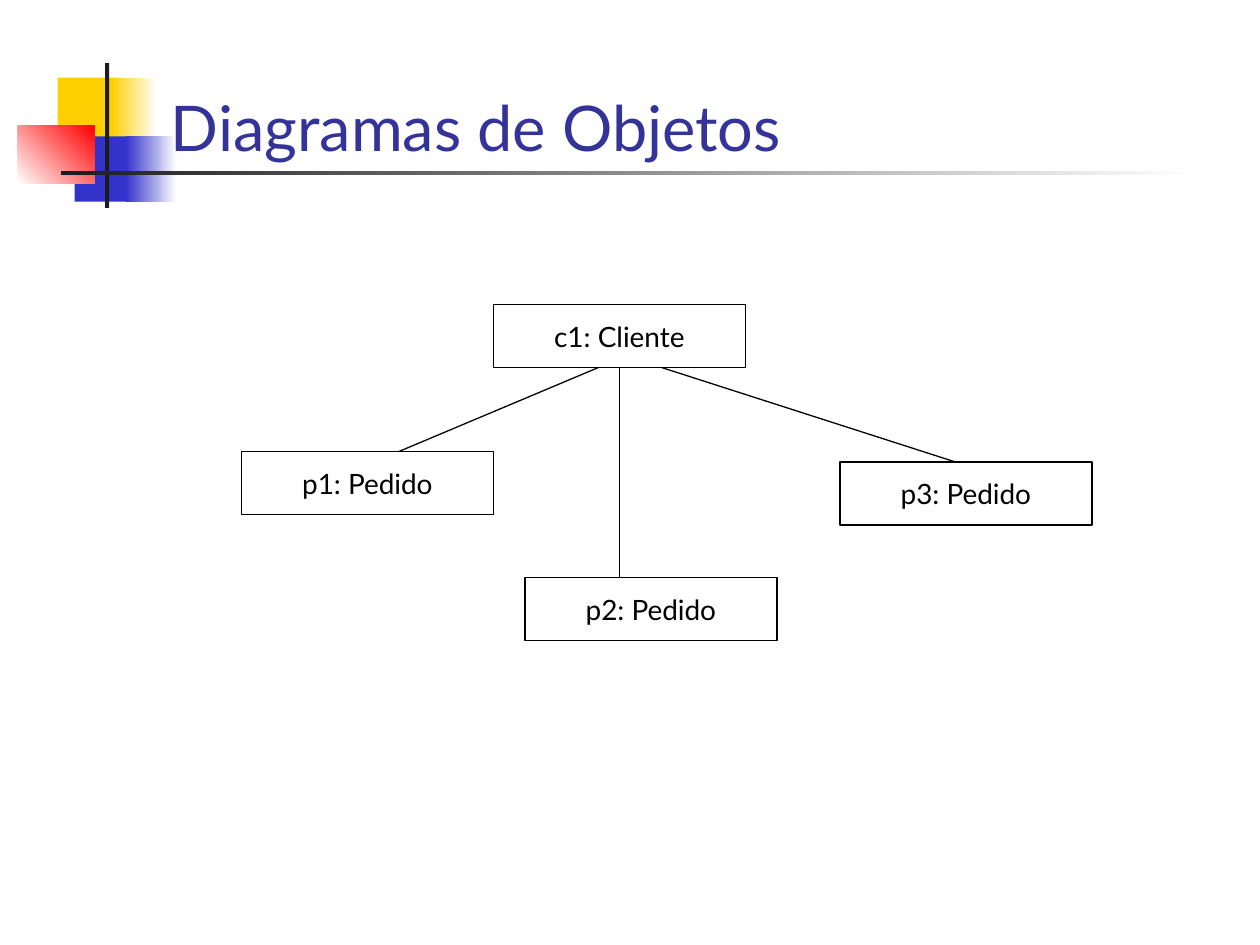
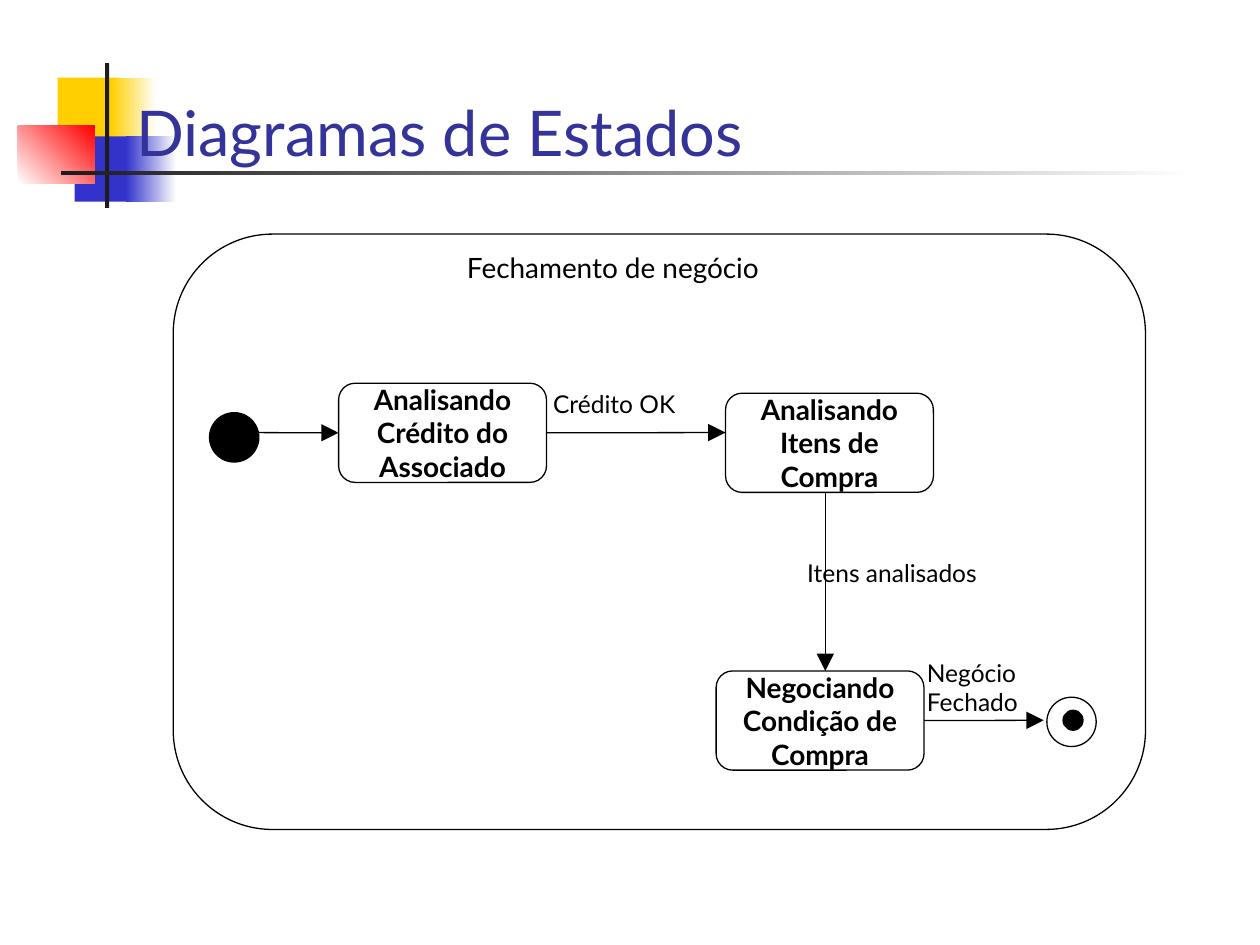
from lxml import etree
from pptx import Presentation
from pptx.dml.color import RGBColor
from pptx.enum.shapes import MSO_CONNECTOR, MSO_SHAPE
from pptx.enum.text import MSO_ANCHOR, PP_ALIGN
from pptx.oxml.ns import qn
from pptx.util import Inches, Pt

RECT, ROUND, OVAL = MSO_SHAPE.RECTANGLE, MSO_SHAPE.ROUNDED_RECTANGLE, MSO_SHAPE.OVAL
STRAIGHT = MSO_CONNECTOR.STRAIGHT
TOP, MIDDLE, BOTTOM = MSO_ANCHOR.TOP, MSO_ANCHOR.MIDDLE, MSO_ANCHOR.BOTTOM
LEFT, CENTER = PP_ALIGN.LEFT, PP_ALIGN.CENTER
SITE_LEFT, SITE_BOTTOM, SITE_RIGHT = 1, 2, 3

COLS, ROWS = 120, 90
FONT = "Lato"
INK, BAR, WHITE = "000000", "1C1C1C", "FFFFFF"
YELLOW, BLUE, RED, TITLE = "FFCF01", "3333CC", "FF0000", "333399"


def rgb(hex_color):
    return RGBColor.from_string(hex_color)


class Deck:
    """Holds the style and the current slide; places are in grid columns and rows."""

    def __init__(self):
        self.prs = Presentation()
        self.prs.slide_width, self.prs.slide_height = Inches(10), Inches(7.5)
        self.s = None

    def grid(self, *place):
        """Turn alternating columns and rows into lengths."""
        units = (self.prs.slide_width / COLS, self.prs.slide_height / ROWS)
        return [round(n * units[i % 2]) for i, n in enumerate(place)]

    def slide(self, title, place):
        self.s = self.prs.slides.add_slide(self.prs.slide_layouts[6])
        self.emblem()
        self.text(place, [title], 36, TITLE, BOTTOM)

    def emblem(self):
        """Draw the coloured blocks and the crossed bars behind the title."""
        self.shape(RECT, (5.5, 7.4, 5.8, 6.2), YELLOW, None)
        self.fade((10.6, 7.4, 4.3, 6.2), YELLOW, WHITE)
        self.shape(RECT, (7.1, 13, 5.5, 6.2), BLUE, None)
        self.fade((12, 13, 4.8, 6.2), BLUE, WHITE)
        self.fade((1.7, 12, 7.3, 5.5), WHITE, RED, 45)
        self.shape(RECT, (10, 6, 0.4, 13.8), BAR, None)
        self.fade((5.8, 16.3, 108, 0.4), BAR, WHITE)

    def shape(self, kind, place, fill=None, line=INK):
        sp = self.s.shapes.add_shape(kind, *self.grid(*place))
        sp.shadow.inherit = False
        if fill:
            sp.fill.solid()
            sp.fill.fore_color.rgb = rgb(fill)
        else:
            sp.fill.background()
        if line:
            sp.line.color.rgb = rgb(line)
            sp.line.width = Pt(0.75)
        else:
            sp.line.fill.background()
        return sp

    def fade(self, place, start, end, angle=0):
        sp = self.shape(RECT, place, None, None)
        sp.fill.gradient()
        sp.fill.gradient_angle = angle
        for stop, color in zip(sp.fill.gradient_stops, (start, end)):
            stop.color.rgb = rgb(color)

    def add_lines(self, sp, lines, size, color, anchor, align, bold=False):
        tf = sp.text_frame
        tf.word_wrap = True
        tf.vertical_anchor = anchor
        for i, line in enumerate(lines):
            p = tf.add_paragraph() if i else tf.paragraphs[0]
            p.alignment = align
            r = p.add_run()
            r.text = line
            r.font.name, r.font.size, r.font.bold = FONT, Pt(size), bold
            r.font.color.rgb = rgb(color)

    def text(self, place, lines, size=14, color=INK, anchor=TOP):
        sp = self.s.shapes.add_textbox(*self.grid(*place))
        self.add_lines(sp, lines, size, color, anchor, LEFT)

    def object_box(self, col, row, label):
        sp = self.shape(RECT, (col, row, 24, 6))
        self.add_lines(sp, [label], 16, INK, MIDDLE, CENTER)
        return sp

    def state(self, col, row, *lines):
        sp = self.shape(ROUND, (col, row, 19.8, 9.45))
        self.add_lines(sp, lines, 16, INK, MIDDLE, CENTER, True)
        return sp

    def disc(self, col, row, size, fill=None):
        self.shape(OVAL, (col, row, size, size), fill)

    def link(self, ends, start=None, end=None, arrow=False):
        """Draw a line; start and end are optional (shape, site) joints."""
        c = self.s.shapes.add_connector(STRAIGHT, *self.grid(*ends))
        if start:
            c.begin_connect(*start)
        if end:
            c.end_connect(*end)
        c.line.color.rgb = rgb(INK)
        c.line.width = Pt(0.75)
        props = c.element.spPr
        if arrow:
            etree.SubElement(props.find(qn("a:ln")), qn("a:tailEnd"),
                             type="triangle", w="lg", len="lg")
        etree.SubElement(props, qn("a:effectLst"))


def object_diagram(d):
    d.slide("Diagramas de Objetos", (15.1, 2.5, 102.2, 13.7))
    client = d.object_box(47, 29, "c1: Cliente")
    for col, row, label in ((80, 44, "p3: Pedido"), (23, 43, "p1: Pedido"),
                            (50, 55, "p2: Pedido")):
        d.object_box(col, row, label)
    d.link((57, 35, 38, 43))
    d.link((59, 35, 59, 55), start=(client, SITE_BOTTOM))
    d.link((63, 35, 91, 44))


def state_diagram(d):
    d.slide("Diagramas de Estados", (11.8, 1.7, 102, 15))
    credit = d.state(32.25, 36.5, "Analisando", "Crédito do", "Associado")
    d.state(69.1, 37.45, "Analisando", "Itens de", "Compra")
    terms = d.state(68.2, 63.9, "Negociando", "Condição de", "Compra")
    d.disc(101.25, 67.65, 1.9, INK)
    d.disc(99.7, 66.4, 4.7)
    d.disc(19.95, 39.3, 4.7, INK)

    d.link((23.8, 41.2, 32.25, 41.2), end=(credit, SITE_LEFT), arrow=True)
    d.link((52.05, 41.2, 69.1, 41.2), start=(credit, SITE_RIGHT), arrow=True)
    d.link((78.6, 46.9, 78.6, 63.9), arrow=True)
    d.link((88, 68.6, 99.4, 68.6), start=(terms, SITE_RIGHT), arrow=True)

    d.text((51.5, 36.5, 16.4, 4.1), ["Crédito OK"])
    d.text((75.7, 52.6, 25, 4.1), ["Itens analisados"])
    d.text((87.1, 62.05, 12.2, 6.9), ["Negócio", "Fechado"])
    d.shape(ROUND, (16.5, 22.3, 92.6, 56.7))
    d.text((43.3, 23.3, 36, 4.4), ["Fechamento de negócio"], 16)


def main():
    d = Deck()
    object_diagram(d)
    state_diagram(d)
    d.prs.save("out.pptx")


if __name__ == "__main__":
    main()
